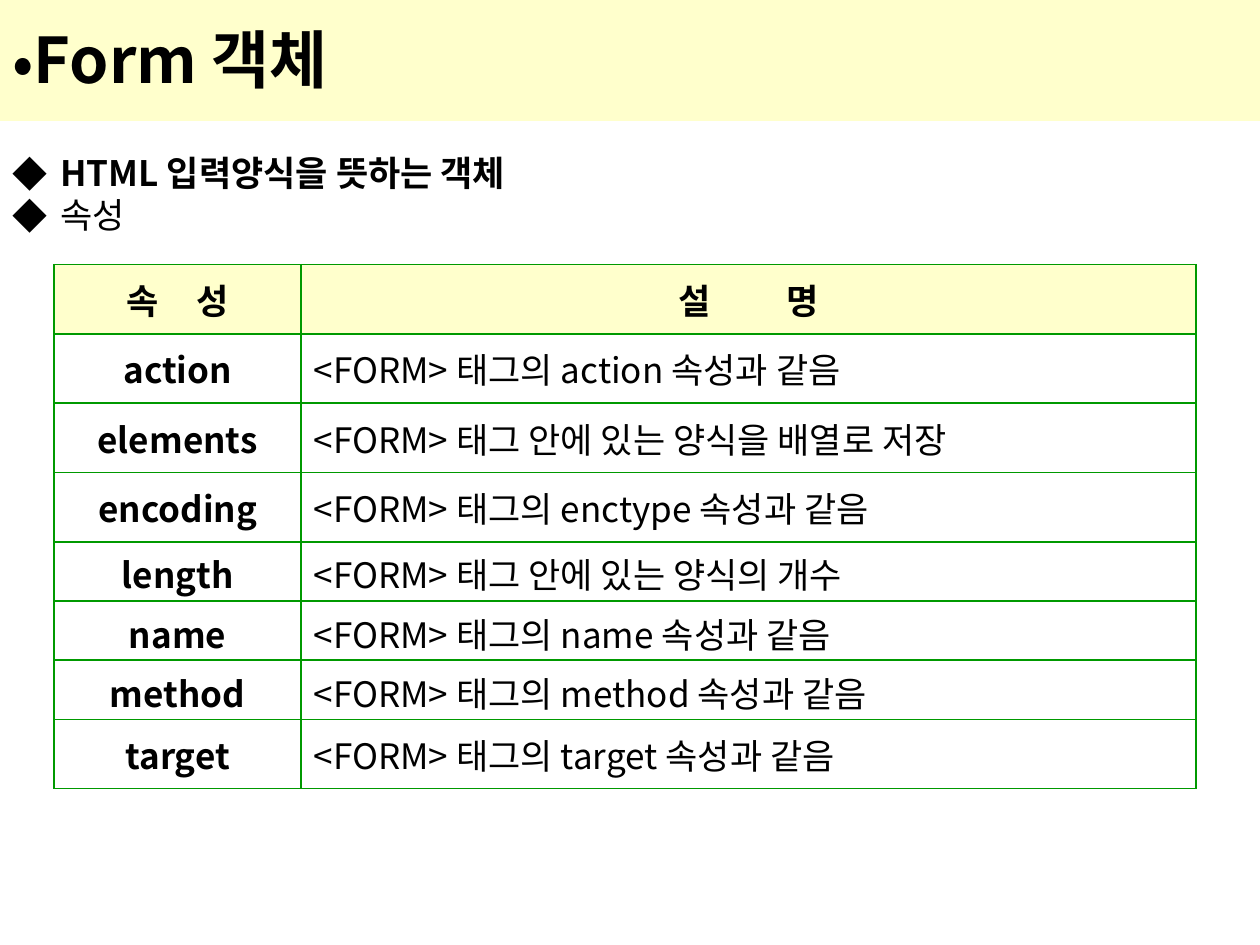
from lxml import etree
from pptx import Presentation
from pptx.dml.color import RGBColor
from pptx.enum import text as t
from pptx.oxml.ns import qn
from pptx.util import Inches, Pt

FONT = "Noto Sans CJK KR"
BLACK, CREAM, GREEN = "000000", "FFFFCC", "009900"

# The number is the extra letter spacing that parts the two syllables.
HEADINGS = [("속 ", "성", 8.35), ("설 ", "명", 19.5)]
PROPERTIES = [
    ("action", "<FORM> 태그의 action 속성과 같음"),
    ("elements", "<FORM> 태그 안에 있는 양식을 배열로 저장"),
    ("encoding", "<FORM> 태그의 enctype 속성과 같음"),
    ("length", "<FORM> 태그 안에 있는 양식의 개수"),
    ("name", "<FORM> 태그의 name 속성과 같음"),
    ("method", "<FORM> 태그의 method 속성과 같음"),
    ("target", "<FORM> 태그의 target 속성과 같음"),
]
COLUMN_WIDTHS = [1.96, 7.1]
ROW_HEIGHTS = [0.55] * 4 + [0.47] * 3 + [0.55]


def color(value):
    return RGBColor.from_string(value)


def add_text(paragraph, words, size=20, bold=False, align=t.PP_ALIGN.LEFT, spacing=0):
    paragraph.alignment = align
    run = paragraph.add_run()
    run.text = words
    font = run.font
    font.size, font.bold, font.name = Pt(size), bold, FONT
    font.color.rgb = color(BLACK)
    properties = run._r.get_or_add_rPr()
    east_asian = etree.Element(qn("a:ea"), typeface=FONT)
    properties.find(qn("a:latin")).addnext(east_asian)
    if spacing:
        properties.set("spc", str(round(spacing * 100)))


def add_bullet(paragraph, mark, indent=0):
    properties = paragraph._p.get_or_add_pPr()
    properties.set("marL", str(Inches(indent)))
    properties.set("indent", str(-Inches(indent)))
    bullet_color = etree.SubElement(properties, qn("a:buClr"))
    etree.SubElement(bullet_color, qn("a:srgbClr"), val=BLACK)
    etree.SubElement(properties, qn("a:buFont"), typeface=FONT)
    etree.SubElement(properties, qn("a:buChar"), char=mark)


def format_title(title):
    title.left, title.top = Inches(0), Inches(-0.03)
    title.width, title.height = Inches(10), Inches(0.99)
    title.fill.solid()
    title.fill.fore_color.rgb = color(CREAM)
    frame = title.text_frame
    frame.auto_size = t.MSO_AUTO_SIZE.NONE
    frame.vertical_anchor = t.MSO_ANCHOR.MIDDLE
    add_bullet(frame.paragraphs[0], "•")
    add_text(frame.paragraphs[0], "Form 객체", size=36, bold=True)


def add_points(slide):
    box = slide.shapes.add_textbox(Inches(0), Inches(1.15), Inches(9.57), Inches(4.95))
    frame = box.text_frame
    frame.word_wrap = True
    definition, properties = frame.paragraphs[0], frame.add_paragraph()
    for paragraph in (definition, properties):
        add_bullet(paragraph, "◆", indent=0.38)
    add_text(definition, "HTML 입력양식을 뜻하는 객체", bold=True)
    add_text(properties, "속성")


def format_cell(cell, fill=None):
    """Set the borders first, since the fill must follow them in the XML."""
    properties = cell._tc.get_or_add_tcPr()
    for side in ("lnL", "lnR", "lnT", "lnB"):
        line = etree.SubElement(properties, qn(f"a:{side}"), w=str(Pt(1.08)))
        solid = etree.SubElement(line, qn("a:solidFill"))
        etree.SubElement(solid, qn("a:srgbClr"), val=GREEN)
    cell.vertical_anchor = t.MSO_ANCHOR.MIDDLE
    if fill:
        cell.fill.solid()
        cell.fill.fore_color.rgb = color(fill)
    else:
        cell.fill.background()


def add_property_table(slide):
    table = slide.shapes.add_table(
        len(ROW_HEIGHTS), len(COLUMN_WIDTHS), Inches(0.43), Inches(2.1),
        Inches(sum(COLUMN_WIDTHS)), Inches(sum(ROW_HEIGHTS))).table
    table.first_row = table.horz_banding = False
    for column, width in zip(table.columns, COLUMN_WIDTHS):
        column.width = Inches(width)
    for row, height in zip(table.rows, ROW_HEIGHTS):
        row.height = Inches(height)

    center = t.PP_ALIGN.CENTER
    for column, (first, last, spacing) in enumerate(HEADINGS):
        cell = table.cell(0, column)
        format_cell(cell, CREAM)
        paragraph = cell.text_frame.paragraphs[0]
        add_text(paragraph, first, bold=True, align=center, spacing=spacing)
        add_text(paragraph, last, bold=True, align=center)
    for row, (name, description) in enumerate(PROPERTIES, start=1):
        name_cell, description_cell = table.cell(row, 0), table.cell(row, 1)
        format_cell(name_cell)
        format_cell(description_cell)
        add_text(name_cell.text_frame.paragraphs[0], name, bold=True, align=center)
        add_text(description_cell.text_frame.paragraphs[0], description)


def main():
    deck = Presentation()
    deck.slide_width, deck.slide_height = Inches(10), Inches(7.5)
    slide = deck.slides.add_slide(deck.slide_layouts[5])
    format_title(slide.shapes.title)
    add_points(slide)
    add_property_table(slide)
    deck.save("out.pptx")


if __name__ == "__main__":
    main()
